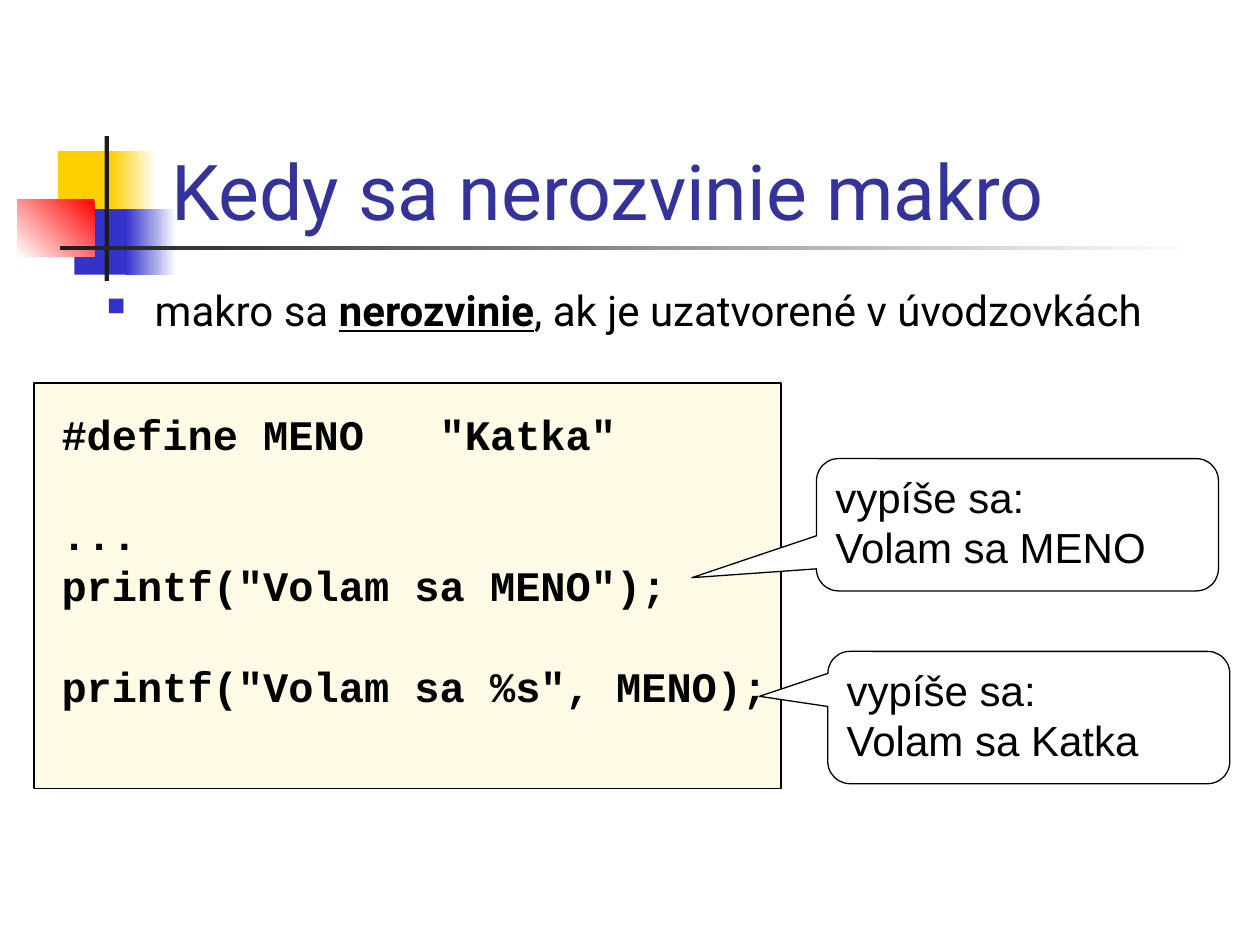
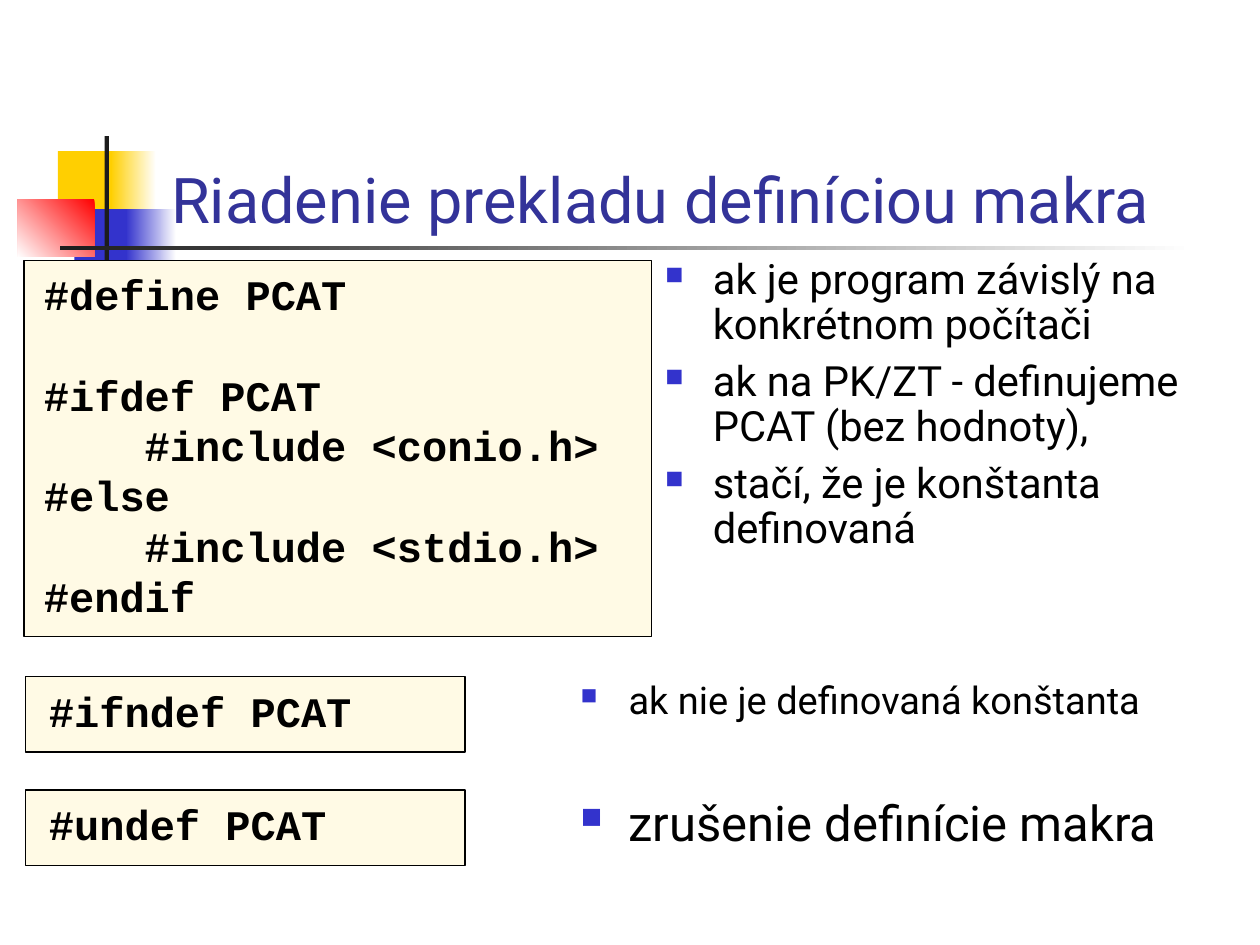
import dataclasses
import typing

import lxml.etree
import pptx
import pptx.dml.color
import pptx.enum.shapes
import pptx.enum.text
import pptx.oxml.ns
import pptx.util

WIDTH, HEIGHT = pptx.util.Inches(10), pptx.util.Inches(7.5)
BLACK, WHITE, INK = "000000", "FFFFFF", "1C1C1C"
YELLOW, BLUE, RED = "FFCF01", "3333CC", "FF0000"
TITLE_COLOR, CODE_FILL = "333399", "FFFAE5"
BODY_FONT, CODE_FONT, NOTE_FONT = "Roboto", "Courier New", "Arial"
CODE_SIZE, CODE_LINE = 24, 28.8
INDENT = 0.38
SHAPE = pptx.enum.shapes.MSO_SHAPE


@dataclasses.dataclass(frozen=True)
class Box:
    """Left, top, width and height in percent of the slide."""
    x: float
    y: float
    w: float
    h: float

    def emu(self) -> tuple[int, int, int, int]:
        return (round(WIDTH * self.x / 100), round(HEIGHT * self.y / 100),
                round(WIDTH * self.w / 100), round(HEIGHT * self.h / 100))


@dataclasses.dataclass(frozen=True)
class Band:
    box: Box
    start: str
    end: str
    angle: float = 180


@dataclasses.dataclass(frozen=True)
class Code:
    frame: Box
    text: Box
    lines: str


@dataclasses.dataclass(frozen=True)
class Bullets:
    box: Box
    lines: tuple[str, ...]
    size: float
    spacing: float = 1.0


@dataclasses.dataclass(frozen=True)
class Callout:
    box: Box
    tip: tuple[float, float]
    text: str


BANDS = (
    Band(Box(4.6, 16, 4.8, 6.93), YELLOW, YELLOW),
    Band(Box(8.8, 16, 3.6, 6.93), WHITE, YELLOW),
    Band(Box(5.9, 22.13, 4.6, 6.93), BLUE, BLUE),
    Band(Box(10, 22.13, 4, 6.93), WHITE, BLUE),
    Band(Box(1.4, 21.07, 6.1, 6.13), RED, WHITE, 225),
    Band(Box(8.3, 14.4, 0.35, 15.33), INK, INK),
    Band(Box(4.8, 26, 90, 0.47), WHITE, INK),
)
TITLE_BOX = Box(12.6, 8.93, 85.2, 16.67)


def rgb(value: str) -> pptx.dml.color.RGBColor:
    return pptx.dml.color.RGBColor.from_string(value)


def style(font: typing.Any, name: str, size: float, color: str,
          bold: bool = False) -> None:
    font.name, font.size, font.bold = name, pptx.util.Pt(size), bold
    font.color.rgb = rgb(color)


def add_panel(s: typing.Any, kind: typing.Any, box: Box, fill: str,
              line: str = "") -> typing.Any:
    sp = s.shapes.add_shape(kind, *box.emu())
    sp.shadow.inherit = False
    sp.fill.solid()
    sp.fill.fore_color.rgb = rgb(fill)
    if line:
        sp.line.color.rgb = rgb(line)
        sp.line.width = pptx.util.Pt(0.75)
    else:
        sp.line.fill.background()
    return sp


def add_text(s: typing.Any, box: Box) -> typing.Any:
    tf = s.shapes.add_textbox(*box.emu()).text_frame
    tf.word_wrap = True
    return tf


def add_band(s: typing.Any, band: Band) -> None:
    sp = add_panel(s, SHAPE.RECTANGLE, band.box, band.start)
    if band.start != band.end:
        sp.fill.gradient()
        sp.fill.gradient_angle = band.angle
        for stop, color in zip(sp.fill.gradient_stops, (band.start, band.end)):
            stop.color.rgb = rgb(color)


def add_code(s: typing.Any, code: Code) -> None:
    add_panel(s, SHAPE.RECTANGLE, code.frame, CODE_FILL, BLACK)
    tf = add_text(s, code.text)
    blocks = [block.split("\n") for block in code.lines.split("\n\n")]
    tf.text = "\n".join(line for block in blocks for line in block)
    starts = {sum(map(len, blocks[:i])) for i in range(1, len(blocks))}
    for i, p in enumerate(tf.paragraphs):
        p.line_spacing = pptx.util.Pt(CODE_LINE)
        if i in starts:
            p.space_before = pptx.util.Pt(CODE_LINE)
        for r in p.runs:
            style(r.font, CODE_FONT, CODE_SIZE, BLACK, True)


def set_bullet(p: typing.Any) -> None:
    qn = pptx.oxml.ns.qn
    ppr = p._p.get_or_add_pPr()
    indent = pptx.util.Inches(INDENT)
    ppr.set("marL", str(indent))
    ppr.set("indent", str(-indent))
    color = lxml.etree.SubElement(ppr, qn("a:buClr"))
    lxml.etree.SubElement(color, qn("a:srgbClr"), val=BLUE)
    lxml.etree.SubElement(ppr, qn("a:buSzPct"), val="60000")
    lxml.etree.SubElement(ppr, qn("a:buChar"), char="■")


def add_bullets(s: typing.Any, bullets: Bullets) -> None:
    tf = add_text(s, bullets.box)
    for i, line in enumerate(bullets.lines):
        p = tf.add_paragraph() if i else tf.paragraphs[0]
        set_bullet(p)
        p.line_spacing = bullets.spacing
        if i:
            p.space_before = pptx.util.Pt(7)
        for j, part in enumerate(line.split("*")):
            r = p.add_run()
            r.text = part
            strong = j % 2 == 1
            style(r.font, BODY_FONT, bullets.size, BLACK, strong)
            r.font.underline = strong


def add_callout(s: typing.Any, note: Callout) -> None:
    sp = add_panel(s, SHAPE.ROUNDED_RECTANGULAR_CALLOUT, note.box, WHITE, BLACK)
    sp.adjustments[0], sp.adjustments[1] = note.tip
    tf = sp.text_frame
    tf.word_wrap = True
    tf.vertical_anchor = pptx.enum.text.MSO_ANCHOR.TOP
    tf.text = note.text
    for p in tf.paragraphs:
        p.alignment = pptx.enum.text.PP_ALIGN.LEFT
        p.line_spacing = pptx.util.Pt(CODE_LINE)
        for r in p.runs:
            style(r.font, NOTE_FONT, 24, BLACK)


DRAW = {Code: add_code, Bullets: add_bullets, Callout: add_callout}


def add_slide(prs: typing.Any, title: str, size: float,
              items: typing.Sequence[typing.Any]) -> None:
    s = prs.slides.add_slide(prs.slide_layouts[6])
    for band in BANDS:
        add_band(s, band)
    tf = add_text(s, TITLE_BOX)
    tf.vertical_anchor = pptx.enum.text.MSO_ANCHOR.BOTTOM
    tf.text = title
    style(tf.paragraphs[0].runs[0].font, BODY_FONT, size, TITLE_COLOR)
    for item in items:
        DRAW[type(item)](s, item)


def short_code(y: float, line: str) -> Code:
    return Code(Box(2, y, 34.9, 8), Box(2.9, y + 0.27, 32.3, 6.67), line)


MACRO_CODE = '''#define MENO   "Katka"

...
printf("Volam sa MENO");

printf("Volam sa %s", MENO);'''

PCAT_CODE = '''#define PCAT

#ifdef PCAT
    #include <conio.h>
#else
    #include <stdio.h>
#endif'''

MACRO_ITEMS = (
    Code(Box(2.7, 40.53, 59.3, 42.93), Box(3.9, 42.53, 58.3, 38.67), MACRO_CODE),
    Bullets(Box(7.5, 29.47, 90.4, 15.6),
            ("makro sa *nerozvinie*, ak je uzatvorené v úvodzovkách",), 24),
    Callout(Box(64.8, 48.53, 31.9, 14), (-0.81, 0.4), "vypíše sa:\nVolam sa MENO"),
    Callout(Box(65.7, 68.93, 31.9, 14), (-0.67, -0.16), "vypíše sa:\nVolam sa Katka"),
)

PCAT_ITEMS = (
    Bullets(Box(51.8, 26.67, 46.5, 39.07),
            ("ak je program závislý na konkrétnom počítači",
             "ak na PK/ZT - definujeme PCAT (bez hodnoty),",
             "stačí, že je konštanta definovaná"), 23.8, 0.9),
    Code(Box(1.9, 27.6, 49.8, 39.73), Box(2.5, 27.73, 47.5, 38.67), PCAT_CODE),
    Bullets(Box(45.1, 71.87, 52.5, 8.4),
            ("ak nie je definovaná konštanta",), 21.7, 0.8),
    short_code(71.6, "#ifndef PCAT"),
    Bullets(Box(45.1, 83.2, 52.5, 9.07), ("zrušenie definície makra",), 28),
    short_code(83.6, "#undef PCAT"),
)


def main() -> None:
    prs = pptx.Presentation()
    prs.slide_width, prs.slide_height = WIDTH, HEIGHT
    add_slide(prs, "Kedy sa nerozvinie makro", 44, MACRO_ITEMS)
    add_slide(prs, "Riadenie prekladu definíciou makra", 36, PCAT_ITEMS)
    prs.save("out.pptx")


if __name__ == "__main__":
    main()
